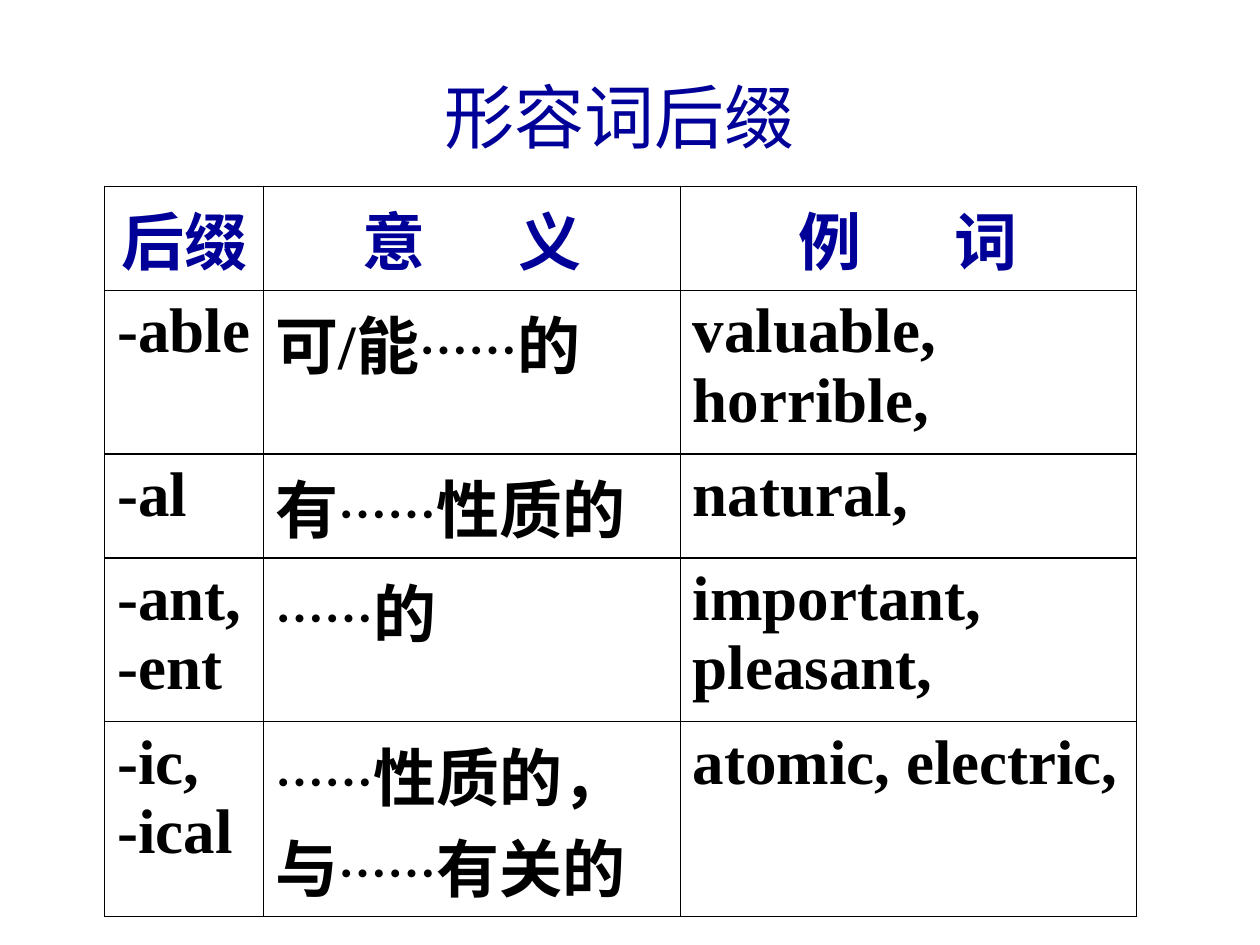
import itertools

import pptx
import pptx.dml.color
import pptx.enum.text
import pptx.oxml.ns
import pptx.util
from lxml import etree

Pt = pptx.util.Pt
ALIGN = pptx.enum.text.PP_ALIGN
ANCHOR = pptx.enum.text.MSO_ANCHOR

TITLE = "形容词后缀"
HEADER = ["后缀", "意 义", "例 词"]
ROWS = [
    ["-able", "可/能……的", "valuable, horrible,"],
    ["-al", "有……性质的", "natural,"],
    ["-ant, -ent", "……的", "important, pleasant,"],
    ["-ic, -ical", "……性质的，与……有关的", "atomic, electric,"],
]
COLORS = {"heading": "000099", "body": "000000", "border": "000000"}
EAST_ASIAN = "Noto Sans CJK SC"
TITLE_FONT = {"name": "Calibri", "size": Pt(40), "bold": False}
CELL_FONT = {"name": "Times New Roman", "size": Pt(36), "bold": True}
DOTS_FONT = {"name": EAST_ASIAN, "size": Pt(28), "bold": True}
TITLE_BOX = {"left": Pt(167), "top": Pt(37.4), "width": Pt(374.4), "height": Pt(56.9)}
TABLE_LEFT, TABLE_TOP = 59.8, 106.6
COLUMN_WIDTHS = [90.7, 238.3, 260.6]
ROW_HEIGHTS = [50.4, 93.6, 50.4, 93.6, 93.6]
HEADER_GAP = 45


def set_values(target, values):
    for name, value in values.items():
        setattr(target, name, value)


def add_element(parent, tag, **attributes):
    return etree.SubElement(parent, pptx.oxml.ns.qn(tag), attributes)


def add_span(para, text, font_values, color):
    span = para.add_run()
    span.text = text
    set_values(span.font, font_values)
    span.font.color.rgb = pptx.dml.color.RGBColor.from_string(COLORS[color])
    properties = span.font._element
    add_element(properties, "a:ea", typeface=EAST_ASIAN)
    return properties


def add_borders(cell):
    properties = cell._tc.get_or_add_tcPr()
    for side in ("a:lnL", "a:lnR", "a:lnT", "a:lnB"):
        line = add_element(properties, side, w=str(int(Pt(1))))
        fill = add_element(line, "a:solidFill")
        add_element(fill, "a:srgbClr", val=COLORS["border"])


def fill_cell(cell, text, is_header):
    set_values(cell, {
        "margin_left": Pt(7.2), "margin_right": Pt(7.2),
        "margin_top": Pt(3.6), "margin_bottom": Pt(3.6),
        "vertical_anchor": ANCHOR.MIDDLE if is_header else ANCHOR.TOP,
    })
    add_borders(cell)
    cell.fill.background()
    para = cell.text_frame.paragraphs[0]
    para.alignment = ALIGN.CENTER if is_header else ALIGN.LEFT
    color = "heading" if is_header else "body"
    if is_header:
        for is_gap, letters in itertools.groupby(text, str.isspace):
            properties = add_span(para, "".join(letters), CELL_FONT, color)
            if is_gap:
                properties.set("spc", str(HEADER_GAP * 100))
    else:
        for is_dots, letters in itertools.groupby(text, lambda letter: letter == "…"):
            add_span(para, "".join(letters), DOTS_FONT if is_dots else CELL_FONT, color)


def add_title(page):
    box = page.shapes.title
    set_values(box, TITLE_BOX)
    set_values(box.text_frame, {"vertical_anchor": ANCHOR.MIDDLE, "word_wrap": True})
    para = box.text_frame.paragraphs[0]
    para.alignment = ALIGN.CENTER
    add_span(para, TITLE, TITLE_FONT, "heading")


def add_suffix_table(page):
    content = [HEADER] + ROWS
    table = page.shapes.add_table(
        len(content), len(HEADER), Pt(TABLE_LEFT), Pt(TABLE_TOP),
        Pt(sum(COLUMN_WIDTHS)), Pt(sum(ROW_HEIGHTS))).table
    set_values(table, {"first_row": False, "horz_banding": False})
    for column, width in zip(table.columns, COLUMN_WIDTHS):
        column.width = Pt(width)
    for row, height in zip(table.rows, ROW_HEIGHTS):
        row.height = Pt(height)
    for row_index, texts in enumerate(content):
        for column_index, text in enumerate(texts):
            fill_cell(table.cell(row_index, column_index), text, row_index == 0)


def main():
    deck = pptx.Presentation()
    set_values(deck, {"slide_width": Pt(720), "slide_height": Pt(540)})
    page = deck.slides.add_slide(deck.slide_layouts[5])
    add_title(page)
    add_suffix_table(page)
    deck.save("out.pptx")


if __name__ == "__main__":
    main()
